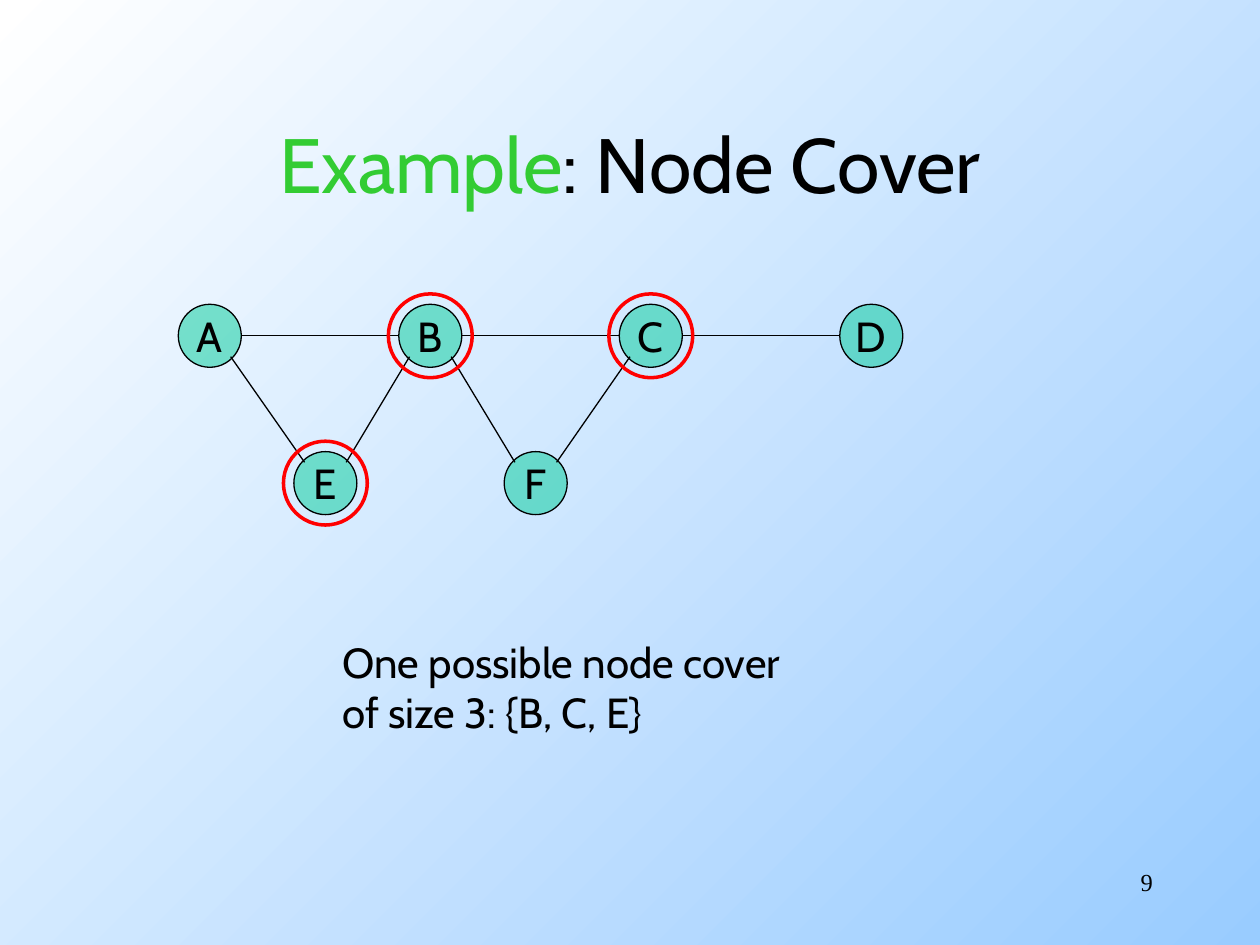
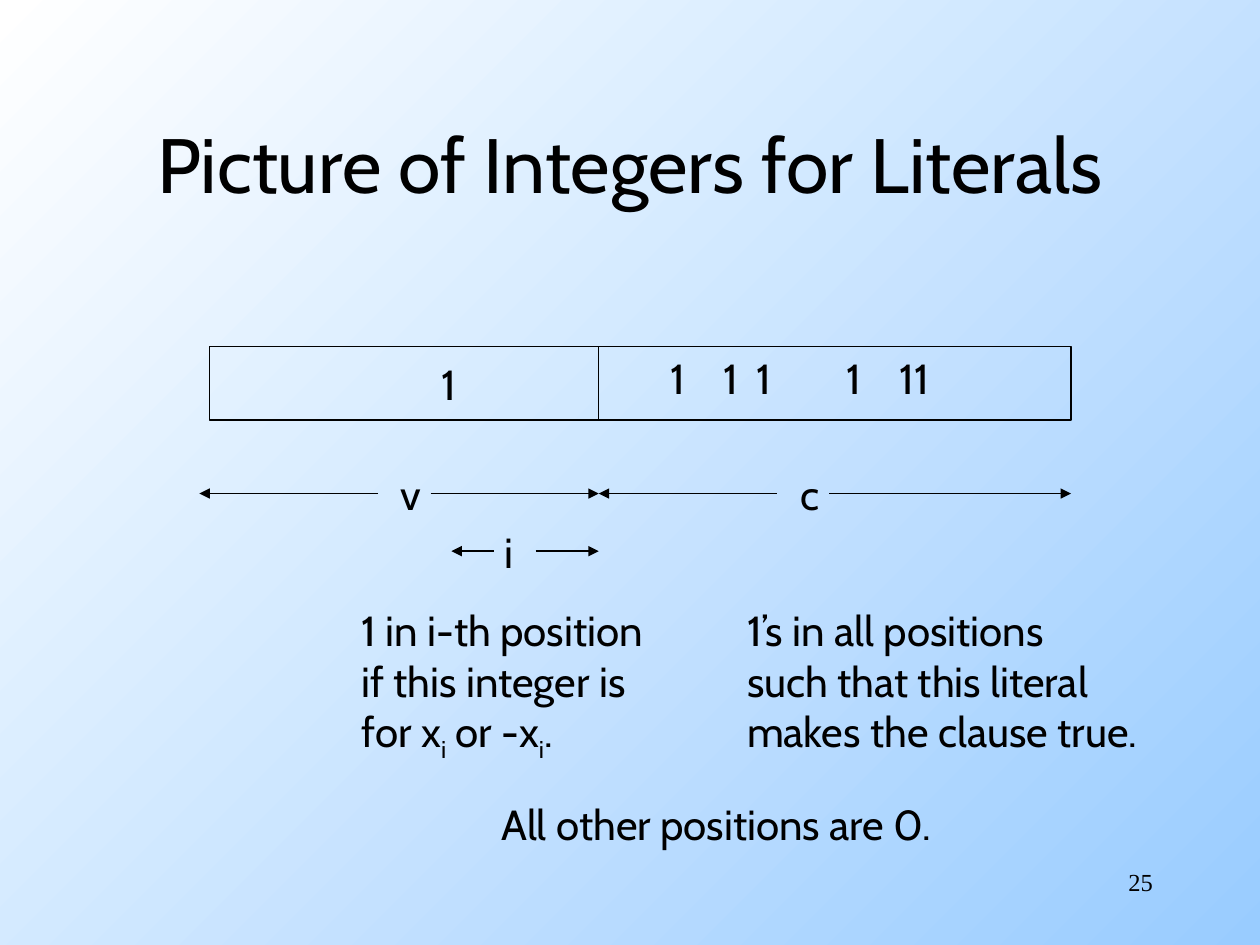
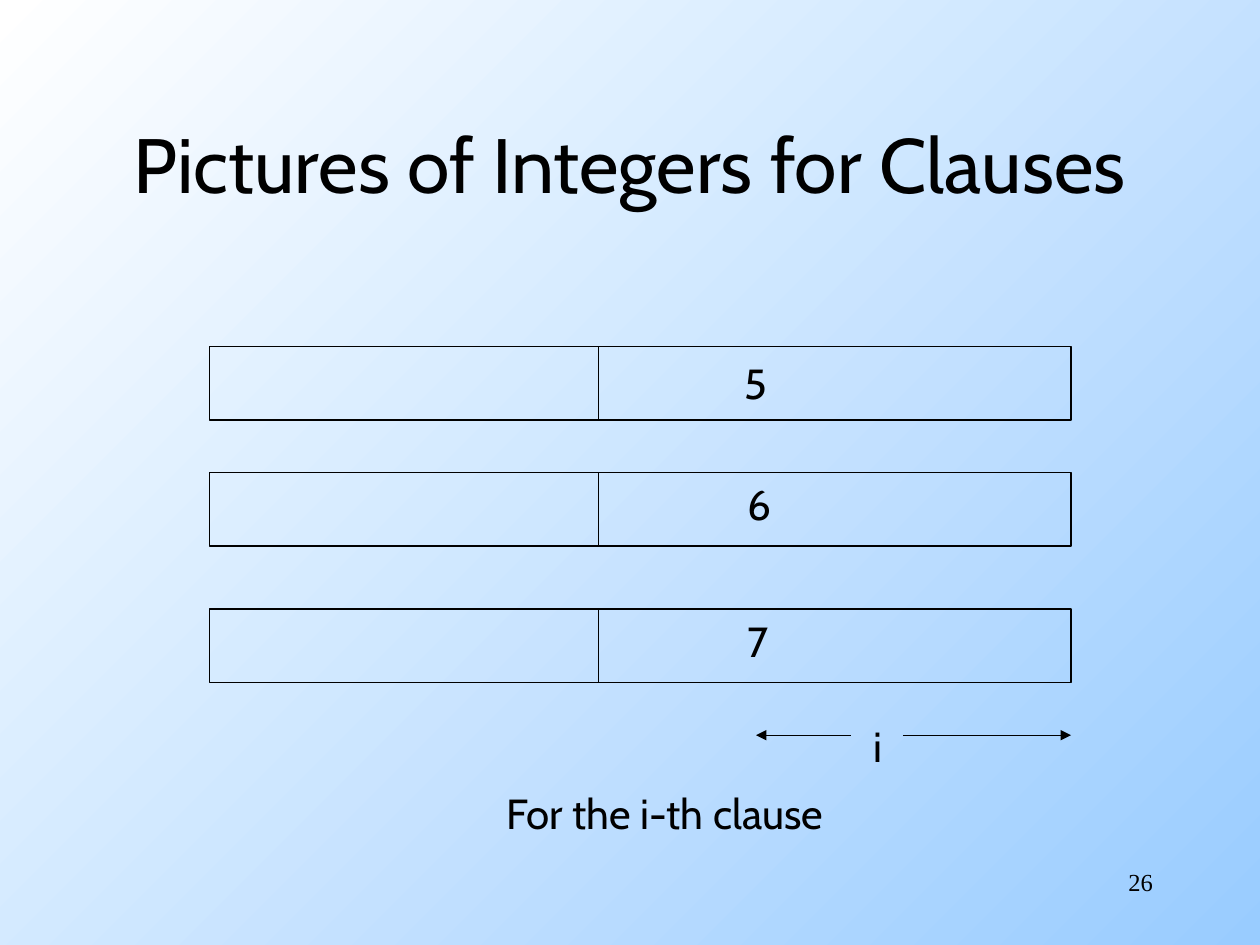
import pptx
import pptx.dml.color
import pptx.enum.dml
import pptx.enum.shapes
import pptx.enum.text
import pptx.oxml
import pptx.oxml.ns
import pptx.util
from lxml import etree
from pptx.util import Cm, Pt

BLACK, GREEN, TEAL, RED = "000000", "33CC33", "00CC99", "FF0000"
BACKDROP = ("FFFFFF", "99CCFF")
BODY = {"name": "Cabin", "size": Pt(24)}
TITLE = {"name": "Cabin", "size": Pt(44)}
NUMBER = {"name": "Times New Roman", "size": Pt(14)}

ALIGN = pptx.enum.text.PP_ALIGN
MIDDLE = {"vertical_anchor": pptx.enum.text.MSO_ANCHOR.MIDDLE, "word_wrap": True}
FITTED = {"word_wrap": False,
          "auto_size": pptx.enum.text.MSO_AUTO_SIZE.SHAPE_TO_FIT_TEXT}
SHAPE = pptx.enum.shapes.MSO_SHAPE

SLIDE_W, SLIDE_H = 25.4, 19.05
NODE_D, RING_D = 1.27, 1.69
DIAGONAL = 0.42  # from a node's centre to the end of a slanting edge, in x and y
BAR_LEFT, BAR_SPLIT, BAR_RIGHT, BAR_H = 4.23, 12.07, 21.59, 1.48
LABEL_H = 1.27


def colour(value):
    return pptx.dml.color.RGBColor.from_string(value)


def apply(target, values):
    for name, value in values.items():
        setattr(target, name, value)


def sub(parent, tag, **attributes):
    return etree.SubElement(parent, pptx.oxml.ns.qn(tag), attributes)


def write(tf, paragraphs, font=BODY, align=ALIGN.LEFT, frame=FITTED):
    """Fill a frame; a paragraph is a string or a list of (text, colour, baseline)."""
    apply(tf, frame)
    for i, runs in enumerate(paragraphs):
        p = tf.paragraphs[0] if i == 0 else tf.add_paragraph()
        p.alignment = align
        if isinstance(runs, str):
            runs = [(runs, BLACK, 0)]
        for text, ink, baseline in runs:
            r = p.add_run()
            r.text = text
            apply(r.font, font)
            r.font.color.rgb = colour(ink)
            if baseline:
                r.font._element.set("baseline", str(baseline * 1000))


def add_text(s, left, top, width, height, paragraphs, **style):
    sp = s.shapes.add_textbox(Cm(left), Cm(top), Cm(width), Cm(height))
    write(sp.text_frame, paragraphs, **style)
    return sp


def add_outline(s, kind, left, top, width, height, ink=BLACK, weight=0.75):
    sp = s.shapes.add_shape(kind, Cm(left), Cm(top), Cm(width), Cm(height))
    sp.shadow.inherit = False
    sp.fill.background()
    sp.line.color.rgb = colour(ink)
    sp.line.width = Pt(weight)
    return sp


def add_circle(s, centre, diameter, **line):
    x, y = centre
    return add_outline(s, SHAPE.OVAL, x - diameter / 2, y - diameter / 2,
                       diameter, diameter, **line)


def add_line(s, x1, y1, x2, y2, arrow=False):
    line = s.shapes.add_connector(pptx.enum.shapes.MSO_CONNECTOR.STRAIGHT,
                                  Cm(x1), Cm(y1), Cm(x2), Cm(y2))
    line.line.color.rgb = colour(BLACK)
    line.line.width = Pt(0.75)
    if arrow:
        sub(line.line._get_or_add_ln(), "a:tailEnd", type="triangle")
    sub(line._element.spPr, "a:effectLst")


def add_node(s, letter, centre):
    sp = add_circle(s, centre, NODE_D)
    sp.fill.solid()
    sp.fill.fore_color.rgb = colour(TEAL)
    fill = sp._element.spPr.find(".//" + pptx.oxml.ns.qn("a:srgbClr"))
    sub(fill, "a:alpha", val="50000")
    write(sp.text_frame, [letter], align=ALIGN.CENTER,
          frame={**MIDDLE, "word_wrap": False})


def add_edge(s, start, end):
    """Join two nodes: level edges at the sides, slanting ones at the corners."""
    (x1, y1), (x2, y2) = start, end
    side = 1 if x2 > x1 else -1
    dx, dy = (NODE_D / 2, 0) if y1 == y2 else (DIAGONAL, DIAGONAL)
    add_line(s, x1 + side * dx, y1 + dy, x2 - side * dx, y2 - dy)


def add_bar(s, top):
    """Draw an integer as a bar split into variable and clause positions."""
    add_outline(s, SHAPE.RECTANGLE, BAR_LEFT, top, BAR_RIGHT - BAR_LEFT, BAR_H)
    add_line(s, BAR_SPLIT, top, BAR_SPLIT, top + BAR_H)


def add_span(s, y, left, gap_left, gap_right, right):
    """Draw two arrows that point outwards from a gap kept for a label."""
    add_line(s, gap_left, y, left, y, arrow=True)
    add_line(s, gap_right, y, right, y, arrow=True)


def set_tabs(sp, stops):
    pPr = sp.text_frame.paragraphs[0]._p.get_or_add_pPr()
    tabs = sub(pPr, "a:tabLst")
    for stop in stops:
        sub(tabs, "a:tab", pos=str(Cm(stop)), algn="l")


def set_backdrop(prs):
    fill = prs.slide_master.background.fill
    fill.gradient()
    fill.gradient_angle = 315
    for stop, value in zip(fill.gradient_stops, BACKDROP):
        stop.color.rgb = colour(value)


def add_slide(prs, title, number, margin=0):
    s = prs.slides.add_slide(prs.slide_layouts[6])
    add_text(s, 18.2, 17.36, 5.29, 1.27, [number], font=NUMBER,
             align=ALIGN.RIGHT, frame={"word_wrap": True})
    add_text(s, margin, 1.69, SLIDE_W - 2 * margin, 3.18, [title], font=TITLE,
             align=ALIGN.CENTER, frame=MIDDLE)
    return s


def node_cover(prs):
    s = add_slide(prs, [("Example", GREEN, 0), (": Node Cover", BLACK, 0)], "9", 1.9)
    centres = {letter: (4.23 + 4.445 * i, 6.77) for i, letter in enumerate("ABCD")}
    centres.update(E=(6.56, 9.74), F=(10.8, 9.74))
    for letter, centre in centres.items():
        add_node(s, letter, centre)
    for start, end in ("AB", "BC", "CD", "AE", "BE", "BF", "CF"):
        add_edge(s, centres[start], centres[end])
    for letter in "BCE":
        add_circle(s, centres[letter], RING_D, ink=RED, weight=2)
    add_text(s, 6.65, 12.7, 10.31, 2.29,
             ["One possible node cover", "of size 3: {B, C, E}"])


def literals(prs):
    s = add_slide(prs, "Picture of Integers for Literals", "25")
    add_bar(s, 6.99)
    add_span(s, 9.95, 4.02, 7.62, 8.68, BAR_SPLIT)
    add_span(s, 9.95, BAR_SPLIT, 15.66, 16.72, BAR_RIGHT)
    add_span(s, 11.11, 9.1, 9.95, 10.8, BAR_SPLIT)
    for text, left, top, width in (("v", 7.83, 9.31, 0.94), ("c", 15.88, 9.31, 0.91),
                                   ("i", 9.93, 10.48, 0.71), ("1", 8.66, 7.11, 0.99),
                                   ("All other positions are 0.", 9.86, 15.98, 10.16)):
        add_text(s, left, top, width, LABEL_H, [text])
    ones = add_text(s, 13.26, 6.99, 7.37, LABEL_H, ["1\t1\t1\t1\t11"],
                    frame={"word_wrap": True})
    set_tabs(ones, (1.07, 1.75, 3.56, 4.63))
    index = ("i", BLACK, -25)
    add_text(s, 7.04, 12.07, 6.93, 3.45,
             ["1 in i-th position", "if this integer is",
              [("for x", BLACK, 0), index, (" or -x", BLACK, 0), index, (".", BLACK, 0)]])
    add_text(s, 14.81, 12.07, 9.45, 3.3,
             ["1’s in all positions", "such that this literal", "makes the clause true."])


def clauses(prs):
    s = add_slide(prs, "Pictures of Integers for Clauses", "26")
    for digit, bar_top, left, top in (("5", 6.99, 14.76, 7.09), ("6", 9.53, 14.81, 9.53),
                                      ("7", 12.28, 14.81, 12.28)):
        add_bar(s, bar_top)
        add_text(s, left, top, 0.99, LABEL_H, [digit])
    add_span(s, 14.82, 15.24, 17.15, 18.2, BAR_RIGHT)
    add_text(s, 17.36, 14.39, 0.71, LABEL_H, ["i"])
    add_text(s, 9.96, 15.75, 7.59, LABEL_H, ["For the i-th clause"])


def main():
    prs = pptx.Presentation()
    prs.slide_width, prs.slide_height = Cm(SLIDE_W), Cm(SLIDE_H)
    set_backdrop(prs)
    node_cover(prs)
    literals(prs)
    clauses(prs)
    prs.save("out.pptx")


if __name__ == "__main__":
    main()
